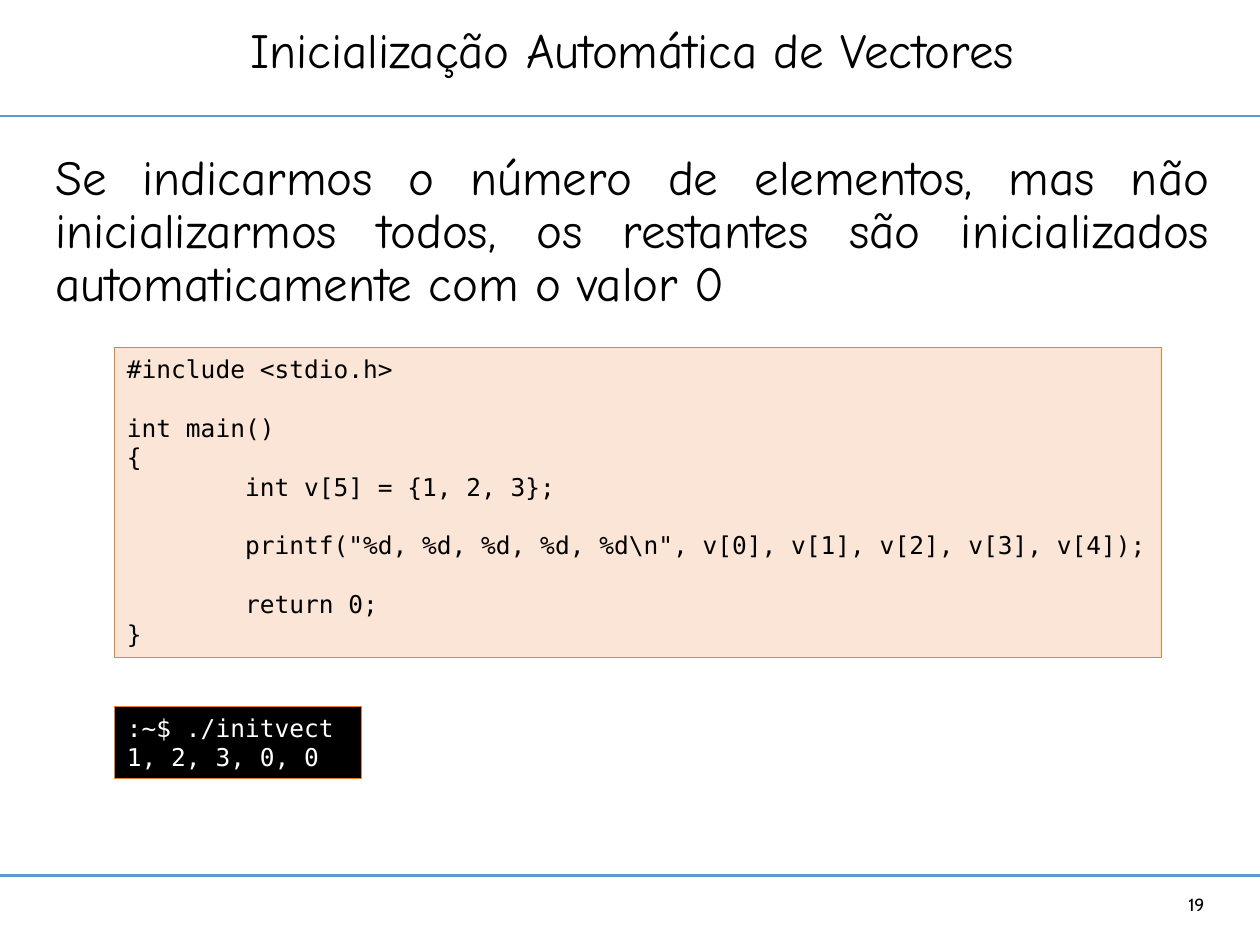
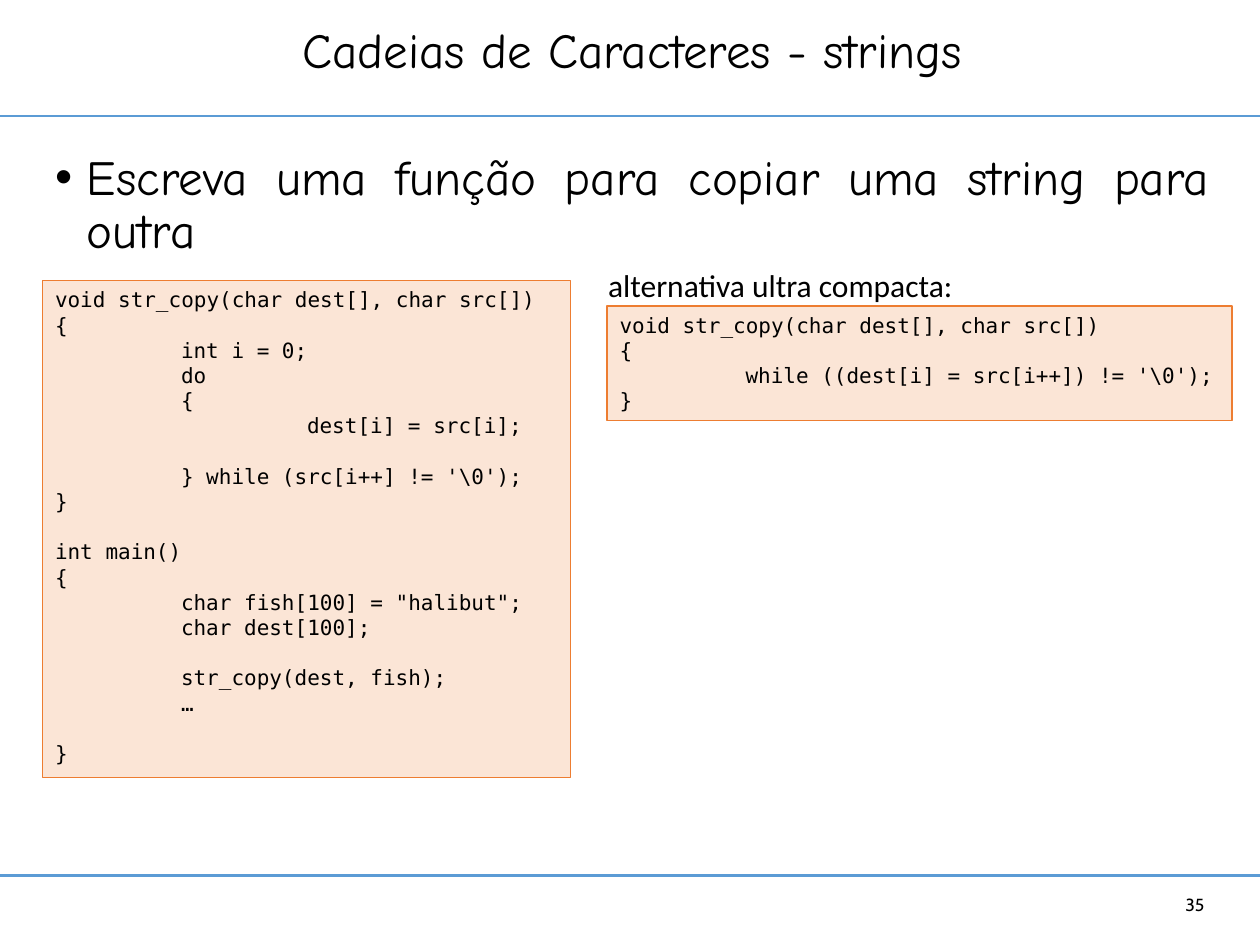
from dataclasses import dataclass

from lxml.etree import SubElement
from pptx import Presentation
from pptx.dml.color import RGBColor
from pptx.enum.shapes import MSO_CONNECTOR, MSO_SHAPE
from pptx.enum.text import MSO_ANCHOR as Anchor, MSO_AUTO_SIZE, PP_ALIGN as Align
from pptx.oxml.ns import qn
from pptx.util import Cm, Pt

BLUE, ORANGE, PEACH = "5B9BD5", "ED7D31", "FBE5D6"
BLACK, WHITE = "000000", "FFFFFF"

SLIDE_W, SLIDE_H = 25.4, 19.05
MARGIN, CONTENT_W = 0.86, 23.77
RULE_YS = (2.34, 17.65)
BODY_TOP = 2.97
TAB_STEP, TAB_COUNT = 2.54, 2
CODE_LINE = 1.2

HEADING = {"name": "Comic Neue", "size": Pt(28)}
NUMBER = {"name": "Cabin", "size": Pt(10)}
LABEL = {"name": "Calibri", "size": Pt(18)}
CODE_14 = {"name": "DejaVu Sans Mono", "size": Pt(14)}
CODE_12 = CODE_14 | {"size": Pt(12)}

INIT_CODE = r"""
#include <stdio.h>

int main()
{
        int v[5] = {1, 2, 3};

        printf("%d, %d, %d, %d, %d\n", v[0], v[1], v[2], v[3], v[4]);

        return 0;
}
"""

INIT_OUTPUT = """
:~$ ./initvect
1, 2, 3, 0, 0
"""

COPY_CODE = r"""
void str_copy(char dest[], char src[])
{
        int i = 0;
        do
        {
                dest[i] = src[i];

        } while (src[i++] != '\0');
}

int main()
{
        char fish[100] = "halibut";
        char dest[100];

        str_copy(dest, fish);
        …

}
"""

COMPACT_CODE = r"""
void str_copy(char dest[], char src[])
{
        while ((dest[i] = src[i++]) != '\0');
}
"""


@dataclass(frozen=True)
class Box:
    left: float
    top: float
    width: float
    height: float

    def lengths(self) -> tuple:
        return Cm(self.left), Cm(self.top), Cm(self.width), Cm(self.height)


@dataclass(frozen=True)
class CodePanel:
    box: Box
    code: str
    font: dict
    fill: str = PEACH
    color: str = BLACK
    tabs: bool = False
    wrap: bool = False


@dataclass(frozen=True)
class Page:
    number: int
    title: str
    body: str
    body_height: float
    panels: tuple
    bullet: bool = False


TITLE_BOX = Box(MARGIN, 0, CONTENT_W, 2.13)
NUMBER_BOX = Box(22.5, 17.93, 2.03, 0.61)
LABEL_BOX = Box(12.01, 5.23, 7.54, 1.02)

INIT_PAGE = Page(
    19, "Inicialização Automática de Vectores",
    "Se indicarmos o número de elementos, mas não inicializarmos todos, "
    "os restantes são inicializados automaticamente com o valor 0",
    13.72,
    (CodePanel(Box(2.31, 7.01, 21.11, 6.25), INIT_CODE, CODE_14),
     CodePanel(Box(2.31, 14.25, 4.98, 1.45), INIT_OUTPUT, CODE_14, BLACK, WHITE)),
)
COPY_PAGE = Page(
    35, "Cadeias de Caracteres - strings",
    "Escreva uma função para copiar uma string para outra",
    2.57,
    (CodePanel(Box(12.24, 6.17, 12.6, 2.31), COMPACT_CODE, CODE_12, tabs=True, wrap=True),
     CodePanel(Box(MARGIN, 5.66, 10.64, 10.01), COPY_CODE, CODE_12, tabs=True, wrap=True)),
    bullet=True,
)


def rgb(value: str) -> RGBColor:
    return RGBColor.from_string(value)


def apply(target, values: dict) -> None:
    for name, value in values.items():
        setattr(target, name, value)


def set_frame(tf, anchor=Anchor.TOP, wrap: bool = True) -> None:
    apply(tf, {"auto_size": MSO_AUTO_SIZE.NONE, "vertical_anchor": anchor, "word_wrap": wrap})


def write(p, text: str, font: dict, color: str = BLACK, **layout) -> None:
    apply(p, {"space_before": Pt(0), **layout})
    r = p.add_run()
    r.text = text
    apply(r.font, font)
    r.font.color.rgb = rgb(color)


def add_text(slide, box: Box, text: str, font: dict, anchor=Anchor.TOP,
             wrap: bool = True, bullet: bool = False, **layout) -> None:
    tf = slide.shapes.add_textbox(*box.lengths()).text_frame
    set_frame(tf, anchor, wrap)
    p = tf.paragraphs[0]
    if bullet:
        add_bullet(p)
    write(p, text, font, **layout)


def add_bullet(p) -> None:
    pPr = p._p.get_or_add_pPr()
    pPr.set("marL", str(Cm(0.64)))
    pPr.set("indent", str(-Cm(0.64)))
    SubElement(pPr, qn("a:buFont")).set("typeface", "Arial")
    SubElement(pPr, qn("a:buChar")).set("char", "•")


def add_tabs(p) -> None:
    tabs = SubElement(p._p.get_or_add_pPr(), qn("a:tabLst"))
    for i in range(1, TAB_COUNT + 1):
        tab = SubElement(tabs, qn("a:tab"))
        tab.set("pos", str(Cm(TAB_STEP * i)))
        tab.set("algn", "l")


def add_rule(slide, y: float) -> None:
    line = slide.shapes.add_connector(MSO_CONNECTOR.STRAIGHT, 0, Cm(y), Cm(SLIDE_W), Cm(y))
    line.line.color.rgb = rgb(BLUE)
    line.line.width = Pt(1.25)
    SubElement(line._element.spPr, qn("a:effectLst"))


def add_code(slide, panel: CodePanel) -> None:
    sp = slide.shapes.add_shape(MSO_SHAPE.RECTANGLE, *panel.box.lengths())
    sp.shadow.inherit = False
    sp.fill.solid()
    sp.fill.fore_color.rgb = rgb(panel.fill)
    sp.line.color.rgb = rgb(ORANGE)
    sp.line.width = Pt(0.75)
    tf = sp.text_frame
    set_frame(tf, wrap=panel.wrap)
    p, gap = tf.paragraphs[0], Pt(0)
    for i, line in enumerate(panel.code.strip().splitlines()):
        if not line:
            gap = Pt(panel.font["size"].pt * CODE_LINE)
            continue
        if i:
            p = tf.add_paragraph()
        if panel.tabs:
            add_tabs(p)
            line = line.replace(" " * 8, "\t")
        write(p, line, panel.font, panel.color, alignment=Align.LEFT, space_before=gap)
        gap = Pt(0)


def add_page(prs, page: Page):
    slide = prs.slides.add_slide(prs.slide_layouts[5])
    for y in RULE_YS:
        add_rule(slide, y)
    title = slide.shapes.title
    apply(title, dict(zip(("left", "top", "width", "height"), TITLE_BOX.lengths())))
    set_frame(title.text_frame, Anchor.MIDDLE)
    write(title.text_frame.paragraphs[0], page.title, HEADING,
          alignment=Align.CENTER, line_spacing=0.9)
    add_text(slide, Box(MARGIN, BODY_TOP, CONTENT_W, page.body_height), page.body, HEADING,
             bullet=page.bullet, alignment=Align.JUSTIFY, line_spacing=0.9)
    add_text(slide, NUMBER_BOX, str(page.number), NUMBER, Anchor.MIDDLE, alignment=Align.RIGHT)
    for panel in page.panels:
        add_code(slide, panel)
    return slide


def main() -> None:
    prs = Presentation()
    apply(prs, {"slide_width": Cm(SLIDE_W), "slide_height": Cm(SLIDE_H)})
    add_page(prs, INIT_PAGE)
    copy_slide = add_page(prs, COPY_PAGE)
    add_text(copy_slide, LABEL_BOX, "alternativa ultra compacta:", LABEL, wrap=False)
    prs.save("out.pptx")


if __name__ == "__main__":
    main()
